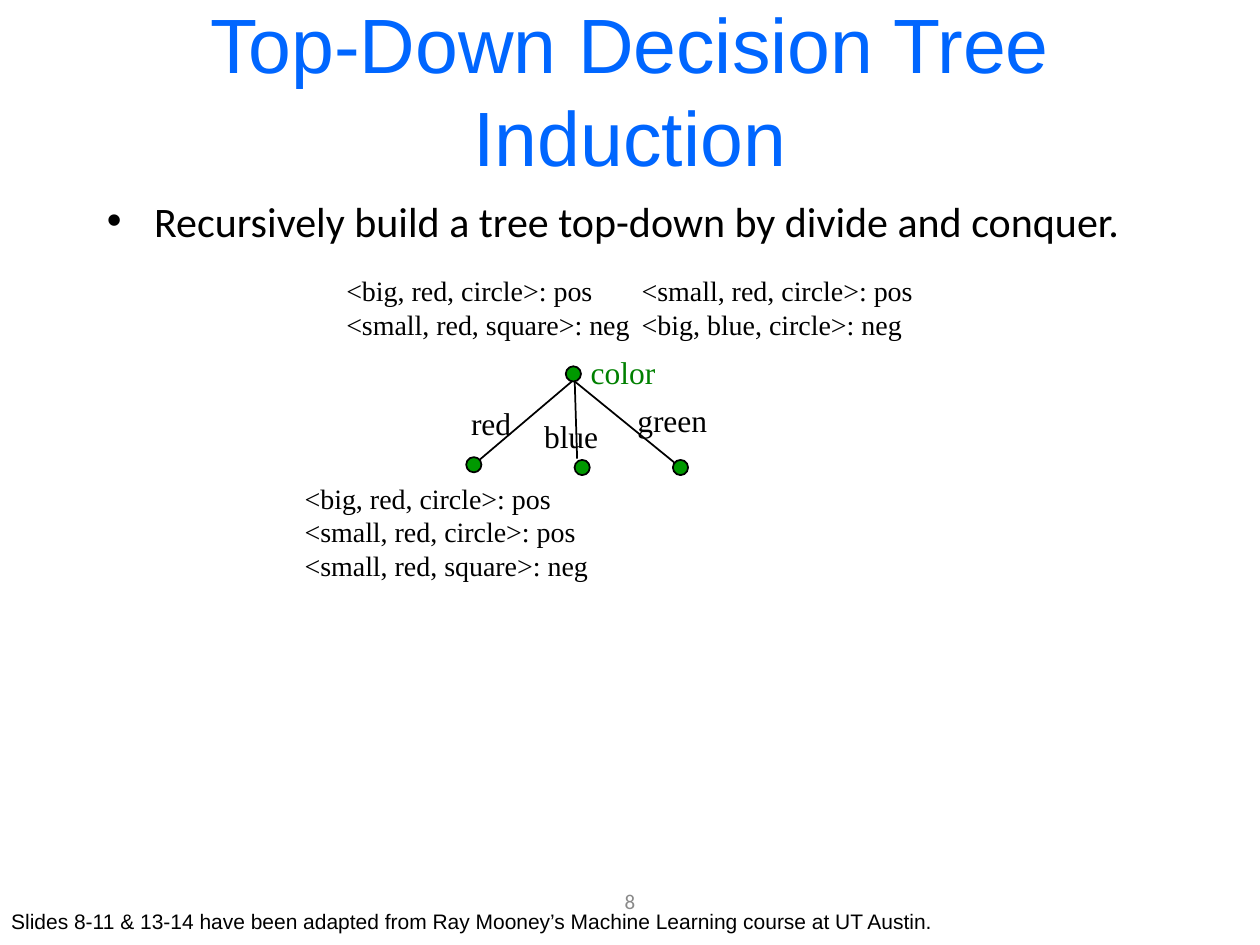
from lxml.etree import SubElement
from pptx import Presentation
from pptx.dml.color import RGBColor
from pptx.enum.shapes import MSO_CONNECTOR, MSO_SHAPE
from pptx.enum.text import MSO_ANCHOR, PP_ALIGN
from pptx.oxml.ns import qn
from pptx.util import Pt

COLOURS = {
    "black": "000000",
    "title": "0066FF",
    "node": "009900",
    "attribute": "008000",
    "number": "898989",
}


def colour(name):
    return RGBColor.from_string(COLOURS[name])


def write_text(frame, text, font="Times New Roman", size=18, color="black",
               align=PP_ALIGN.LEFT, bullet_indent=None, tab=None):
    for index, line in enumerate(text.split("\n")):
        paragraph = frame.paragraphs[0] if index == 0 else frame.add_paragraph()
        paragraph.alignment = align
        properties = paragraph._p.get_or_add_pPr()
        if bullet_indent:
            properties.set("marL", str(Pt(bullet_indent)))
            properties.set("indent", str(-Pt(bullet_indent)))
            SubElement(properties, qn("a:buFont"), typeface="Arial")
            SubElement(properties, qn("a:buChar"), char="•")
        if tab:
            tabs = SubElement(properties, qn("a:tabLst"))
            SubElement(tabs, qn("a:tab"), pos=str(Pt(tab)), algn="l")
        run = paragraph.add_run()
        run.text = line
        run.font.name = font
        run.font.size = Pt(size)
        run.font.color.rgb = colour(color)


class TreeSlide:
    """Draws text, nodes and branches in one style on the current slide."""

    node_size = 8.7
    line_width = 1

    def __init__(self, slide):
        self.slide = slide

    def text(self, left, top, width, height, text, wrap=True,
             anchor=MSO_ANCHOR.TOP, **text_format):
        box = self.slide.shapes.add_textbox(Pt(left), Pt(top), Pt(width), Pt(height))
        frame = box.text_frame
        frame.word_wrap = wrap
        frame.vertical_anchor = anchor
        write_text(frame, text, **text_format)

    def node(self, left, top):
        size = Pt(self.node_size)
        shape = self.slide.shapes.add_shape(MSO_SHAPE.OVAL, Pt(left), Pt(top), size, size)
        shape.shadow.inherit = False
        shape.fill.solid()
        shape.fill.fore_color.rgb = colour("node")
        shape.line.color.rgb = colour("black")
        shape.line.width = Pt(self.line_width)

    def branch(self, *ends):
        line = self.slide.shapes.add_connector(MSO_CONNECTOR.STRAIGHT, *map(Pt, ends))
        line.line.color.rgb = colour("black")
        line.line.width = Pt(self.line_width)
        SubElement(line._element.spPr, qn("a:effectLst"))


def main():
    presentation = Presentation()
    presentation.slide_width = Pt(720)
    presentation.slide_height = Pt(540)
    tree = TreeSlide(presentation.slides.add_slide(presentation.slide_layouts[6]))

    tree.text(246, 500.5, 228, 28.8, "8", anchor=MSO_ANCHOR.MIDDLE,
              font="Calibri", size=12, color="number", align=PP_ALIGN.CENTER)
    tree.text(36, 6, 648, 90, "Top-Down Decision Tree Induction",
              anchor=MSO_ANCHOR.MIDDLE, font="Arial", size=44, color="title",
              align=PP_ALIGN.CENTER)
    tree.text(54, 108, 612, 42, "Recursively build a tree top-down by divide and conquer.",
              font="Calibri", size=24, bullet_indent=27)
    tree.text(190.8, 152.8, 346, 46,
              "<big, red, circle>: pos\t<small, red, circle>: pos\n"
              "<small, red, square>: neg\t<big, blue, circle>: neg",
              wrap=False, size=16, tab=168.8)

    for ends in [(328.3, 216.7, 271.4, 265), (328.3, 213.8, 329.8, 262.1),
                 (323.3, 213.8, 385.2, 264.2)]:
        tree.branch(*ends)
    for left, top in [(323.3, 209.3), (266.4, 261.2), (328.3, 262.8), (384.5, 262.8)]:
        tree.node(left, top)

    for label, left, top, width, color in [
        ("color", 330.5, 198.2, 55, "attribute"),
        ("red", 262.1, 227.5, 41, "black"),
        ("blue", 303.8, 234.7, 49, "black"),
        ("green", 357.1, 225.4, 58, "black"),
    ]:
        tree.text(left, top, width, 28.8, label, wrap=False, color=color)

    tree.text(167, 271.4, 191.5, 65.5,
              "<big, red, circle>: pos\n<small, red, circle>: pos\n"
              "<small, red, square>: neg", wrap=False, size=16)
    tree.text(-0.7, 515.5, 630, 21.6,
              "Slides 8-11 & 13-14 have been adapted from Ray Mooney’s "
              "Machine Learning course at UT Austin.", font="Arial", size=12)
    presentation.save("out.pptx")


if __name__ == "__main__":
    main()
